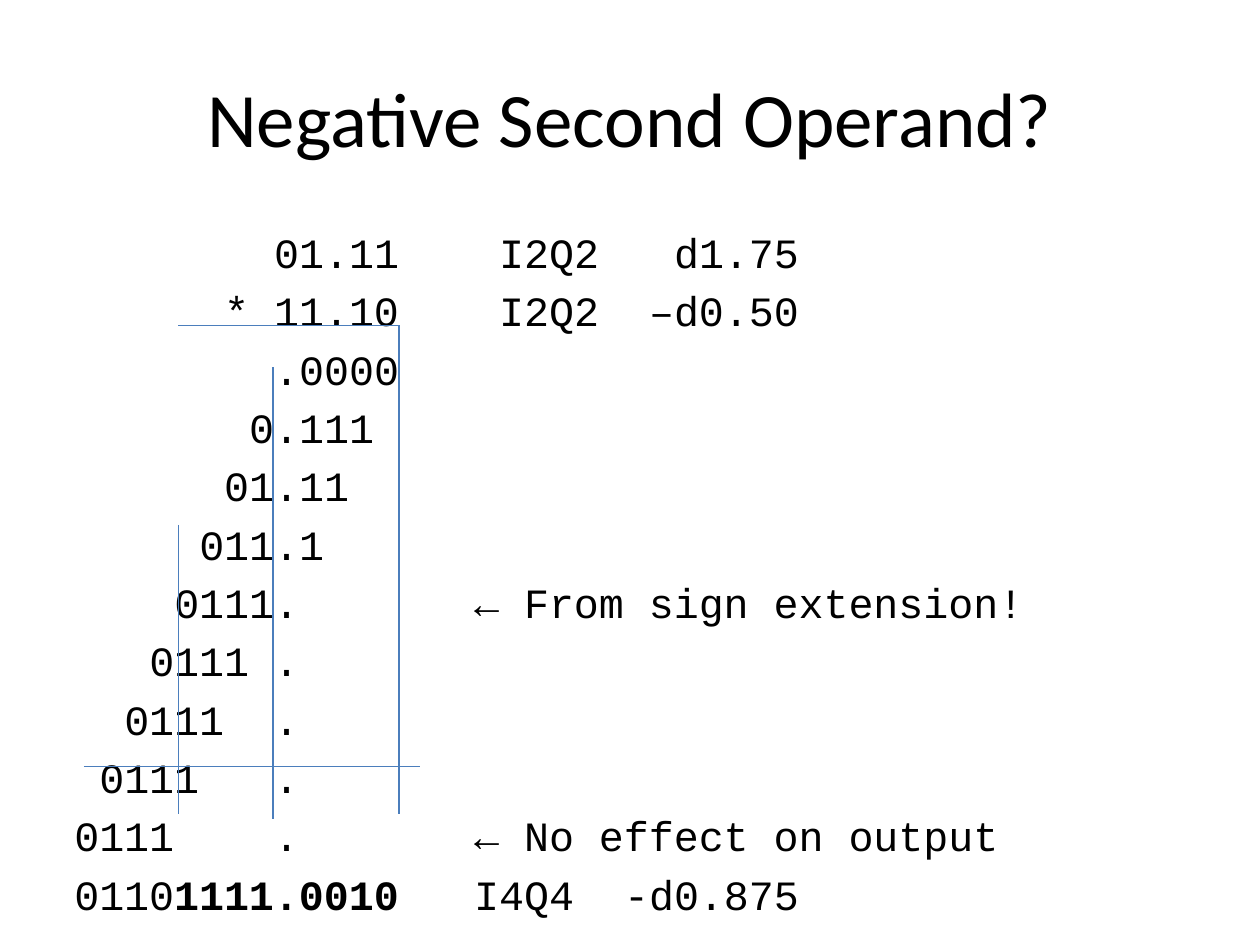
from dataclasses import dataclass

from lxml.etree import SubElement
from pptx import Presentation
from pptx.dml.color import RGBColor
from pptx.enum.shapes import MSO_CONNECTOR
from pptx.enum.text import MSO_ANCHOR, PP_ALIGN
from pptx.oxml.ns import qn
from pptx.util import Pt


@dataclass(frozen=True)
class Theme:
    ink: RGBColor = RGBColor(0x00, 0x00, 0x00)
    rule: RGBColor = RGBColor(0x4B, 0x7E, 0xBC)
    title_font: str = "Calibri"
    code_font: str = "Courier New"
    title_size: float = 44
    code_size: float = 23.8
    rule_width: float = 0.75


theme = Theme()
MARGIN = 36
CHARACTER = theme.code_size * 0.6
POINT_COLUMN = 13


def add_span(para, text, font, size, bold=False):
    """Add one formatted run to a paragraph."""
    span = para.add_run()
    span.text = text
    span.font.name = font
    span.font.size = Pt(size)
    span.font.bold = bold
    span.font.color.rgb = theme.ink


def set_tab_stops(para, columns):
    """Place left tab stops at the given character columns."""
    properties = para._p.get_or_add_pPr()
    tab_list = SubElement(properties, qn("a:tabLst"))
    for column in columns:
        position = Pt(MARGIN + column * CHARACTER)
        SubElement(tab_list, qn("a:tab"), pos=str(int(position)), algn="l")


deck = Presentation()
deck.slide_width, deck.slide_height = Pt(720), Pt(540)
page = deck.slides.add_slide(deck.slide_layouts[5])

title = page.shapes.title
title.left, title.top, title.width, title.height = Pt(36), Pt(21.6), Pt(648), Pt(90)
title.text_frame.vertical_anchor = MSO_ANCHOR.MIDDLE
title_para = title.text_frame.paragraphs[0]
title_para.alignment = PP_ALIGN.CENTER
add_span(title_para, "Negative Second Operand?", theme.title_font, theme.title_size)

# Each row holds (character column, text) cells
rows = [
    [(13, "01.11"), (22, "I2Q2"), (29, "d1.75")],
    [(11, "* 11.10"), (22, "I2Q2"), (28, "–d0.50")],
    [(13, ".0000")],
    [(12, "0.111")],
    [(11, "01.11")],
    [(10, "011.1")],
    [(9, "0111."), (21, "← From sign extension!")],
    [(8, "0111"), (POINT_COLUMN, ".")],
    [(7, "0111"), (POINT_COLUMN, ".")],
    [(6, "0111"), (POINT_COLUMN, ".")],
    [(5, "0111"), (POINT_COLUMN, "."), (21, "← No effect on output")],
    [(5, "0110"), (9, "1111.0010"), (21, "I4Q4"), (27, "-d0.875")],
]
bold_cell = (9, "1111.0010")

box = page.shapes.add_textbox(Pt(-72), Pt(126), Pt(756), Pt(356.4))
frame = box.text_frame
frame.word_wrap = True
for index, row in enumerate(rows):
    para = frame.paragraphs[0] if index == 0 else frame.add_paragraph()
    para.alignment = PP_ALIGN.LEFT
    para.space_before = Pt(theme.code_size * 0.2)
    end = 0
    stops = []
    for column, text in row:
        is_adjacent = column == end
        if not is_adjacent:
            stops.append(column)
        add_span(para, text if is_adjacent else "\t" + text,
                 theme.code_font, theme.code_size, (column, text) == bold_cell)
        end = column + len(text)
    set_tab_stops(para, stops)

sum_left, sum_right, point_x = 102, 228, 156
product_top, sum_bottom = 186, 465
rules = [
    (sum_left, product_top, sum_right, product_top),
    (48, 438, 240, 438),
    (point_x, 210, point_x, 468),
    (sum_left, 300, sum_left, sum_bottom),
    (sum_right, product_top, sum_right, sum_bottom),
]
for ends in rules:
    rule = page.shapes.add_connector(MSO_CONNECTOR.STRAIGHT, *map(Pt, ends))
    rule.line.color.rgb = theme.rule
    rule.line.width = Pt(theme.rule_width)
    SubElement(rule._element.spPr, qn("a:effectLst"))

deck.save("out.pptx")
